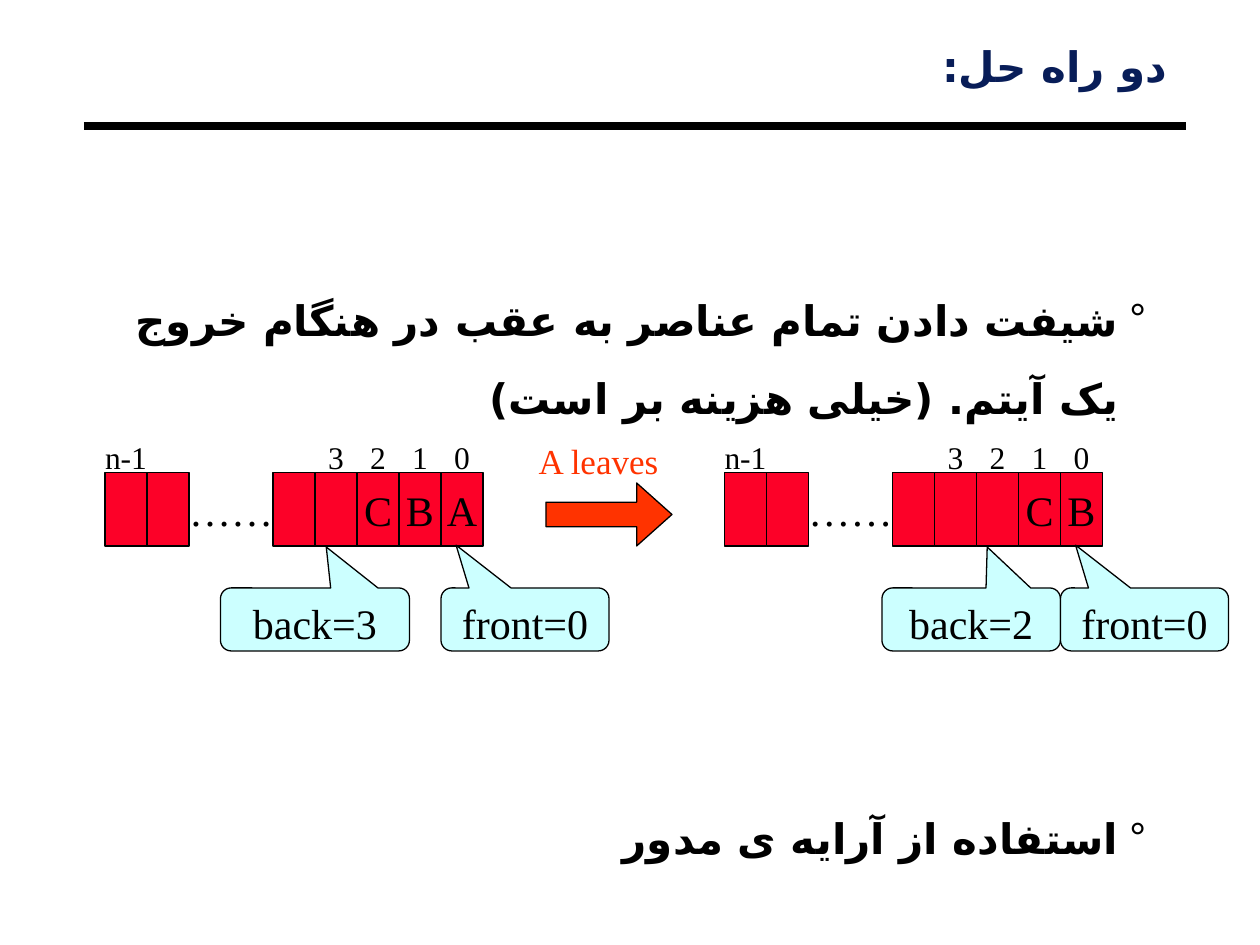
from lxml import etree
from pptx import Presentation
from pptx.dml.color import RGBColor
from pptx.enum.shapes import MSO_CONNECTOR, MSO_SHAPE
from pptx.enum.text import MSO_ANCHOR, MSO_AUTO_SIZE, PP_ALIGN
from pptx.oxml.ns import qn
from pptx.util import Cm, Pt

RECT = MSO_SHAPE.RECTANGLE
CALLOUT = MSO_SHAPE.ROUNDED_RECTANGULAR_CALLOUT
ARROW = MSO_SHAPE.RIGHT_ARROW
STRAIGHT = MSO_CONNECTOR.STRAIGHT
TOP, MIDDLE = MSO_ANCHOR.TOP, MSO_ANCHOR.MIDDLE
CENTER, RIGHT = PP_ALIGN.CENTER, PP_ALIGN.RIGHT
NO_FIT = MSO_AUTO_SIZE.NONE

GRID = 2.54 / 12  # everything sits on a grid of twelve steps to the inch
CELL_W, CELL_H, CELL_TOP = 4, 7, 45
LABEL_H = 3
CALLOUT_TOP, CALLOUT_H = 56, 6
INDENT = Cm(0.56)

INDEX_LABELS = {0: "n-1", 5: "3", 6: "2", 7: "1", 8: "0"}
# left edge, cells, callouts as (text, left, width, tail x, tail y)
QUEUES = [
    (10, ["", "", "…", "…", "", "", "C", "B", "A"],
     [("back=3", 21, 18, 0.06, -1.15), ("front=0", 42, 16, -0.41, -1.18)]),
    (69, ["", "", "…", "…", "", "", "", "C", "B"],
     [("back=2", 84, 17, 0.09, -1.15), ("front=0", 101, 16, -0.41, -1.18)]),
]


def rgb(value):
    return RGBColor.from_string(value)


def grid(*steps):
    return [Cm(step * GRID) for step in steps]


def set_all(obj, values):
    for name, value in values.items():
        setattr(obj, name, value)


class Deck:
    """Holds the style and the current slide."""
    black, navy, red, orange, cyan = "000000", "081D58", "FC0128", "FF3300", "CCFFFF"
    serif, persian = "Times New Roman", "DejaVu Sans"

    def __init__(self, prs):
        self.s = prs.slides.add_slide(prs.slide_layouts[1])

    def font(self, r, size, name, color, bold=False):
        set_all(r.font, {"size": Pt(size), "name": name, "bold": bold})
        r.font.color.rgb = rgb(color)

    def text(self, sp, text, size, color, anchor, wrap):
        tf = sp.text_frame
        set_all(tf, {"word_wrap": wrap, "vertical_anchor": anchor, "auto_size": NO_FIT})
        p = tf.paragraphs[0]
        p.alignment = CENTER
        if text:
            r = p.add_run()
            r.text = text
            self.font(r, size, self.serif, color)

    def placeholder(self, sp, box, paragraphs, name, color, spacing, gap=0, bullet=None):
        """Fill a placeholder with bold right-to-left paragraphs."""
        set_all(sp, dict(zip(("left", "top", "width", "height"), grid(*box))))
        tf = sp.text_frame
        set_all(tf, {"margin_left": Cm(0.18), "margin_right": Cm(0.18),
                     "margin_top": Cm(0.08), "margin_bottom": Cm(0.08),
                     "word_wrap": True, "vertical_anchor": TOP, "auto_size": NO_FIT})
        for i, text in enumerate(paragraphs):
            p = tf.add_paragraph() if i else tf.paragraphs[0]
            pPr = p._p.get_or_add_pPr()
            pPr.set("rtl", "1")
            if bullet:
                pPr.set("marL", str(INDENT))
                pPr.set("indent", str(-INDENT))
                clr = etree.SubElement(pPr, qn("a:buClr"))
                etree.SubElement(clr, qn("a:srgbClr"), val=color)
                etree.SubElement(pPr, qn("a:buChar"), char=bullet)
            set_all(p, {"alignment": RIGHT, "line_spacing": spacing,
                        "space_before": Pt(gap if i else 0)})
            r = p.add_run()
            r.text = text
            self.font(r, 24, name, color, bold=True)
            etree.SubElement(r._r.get_or_add_rPr(), qn("a:cs"), typeface=self.persian)

    def shape(self, kind, box, fill=None, text="", size=24, color=black,
              anchor=TOP, wrap=True, adj=()):
        """Add a preset shape; without a fill it has no outline either."""
        sp = self.s.shapes.add_shape(kind, *grid(*box))
        sp.shadow.inherit = False
        for i, value in enumerate(adj):
            sp.adjustments[i] = value
        if fill:
            sp.fill.solid()
            sp.fill.fore_color.rgb = rgb(fill)
            sp.line.color.rgb = rgb(self.black)
            sp.line.width = Pt(0.75)
        else:
            sp.fill.background()
            sp.line.fill.background()
        self.text(sp, text, size, color, anchor, wrap)

    def label(self, box, text, size):
        sp = self.s.shapes.add_textbox(*grid(*box))
        self.text(sp, text, size, self.black, MIDDLE, False)

    def rule(self, x1, y1, x2, y2):
        cn = self.s.shapes.add_connector(STRAIGHT, *grid(x1, y1, x2, y2))
        cn.line.color.rgb = rgb(self.black)
        cn.line.width = Pt(4.5)
        etree.SubElement(cn._element.spPr, qn("a:effectLst"))

    def queue(self, left, cells, callouts):
        for i, item in enumerate(cells):
            x = left + i * CELL_W
            box = (x, CELL_TOP, CELL_W, CELL_H)
            if item == "…":
                self.label(box, item, 24)
            else:
                self.shape(RECT, box, self.red, item, anchor=MIDDLE, wrap=False)
            if i in INDEX_LABELS:
                self.label((x, CELL_TOP - LABEL_H, CELL_W, LABEL_H), INDEX_LABELS[i], 18)
        for text, x, width, tail_x, tail_y in callouts:
            self.shape(CALLOUT, (x, CALLOUT_TOP, width, CALLOUT_H), self.cyan, text,
                       adj=(tail_x, tail_y, 0.17))


def main():
    prs = Presentation()
    prs.slide_width, prs.slide_height = Cm(25.4), Cm(19.05)
    deck = Deck(prs)
    title, body = deck.s.placeholders
    deck.rule(8, 12, 113, 12)
    deck.placeholder(title, (8, 4.1, 104, 5), ["دو راه حل:"], "Arial", deck.navy, 0.87)
    deck.placeholder(body, (8, 25, 102, 57),
                     ["شیفت دادن تمام عناصر به عقب در هنگام خروج یک آیتم. (خیلی هزینه بر است)",
                      "استفاده از آرایه ی مدور"],
                     "Lato", deck.black, 1.55, gap=207, bullet="°")
    for left, cells, callouts in QUEUES:
        deck.queue(left, cells, callouts)
    deck.shape(ARROW, (52, 46, 12, 6), deck.orange, adj=(0.39, 0.56))
    deck.shape(CALLOUT, (49, 41, 16, 6), text="A leaves", size=20, color=deck.orange,
               adj=(-0.23, 0.92, 0.17))
    prs.save("out.pptx")


if __name__ == "__main__":
    main()
